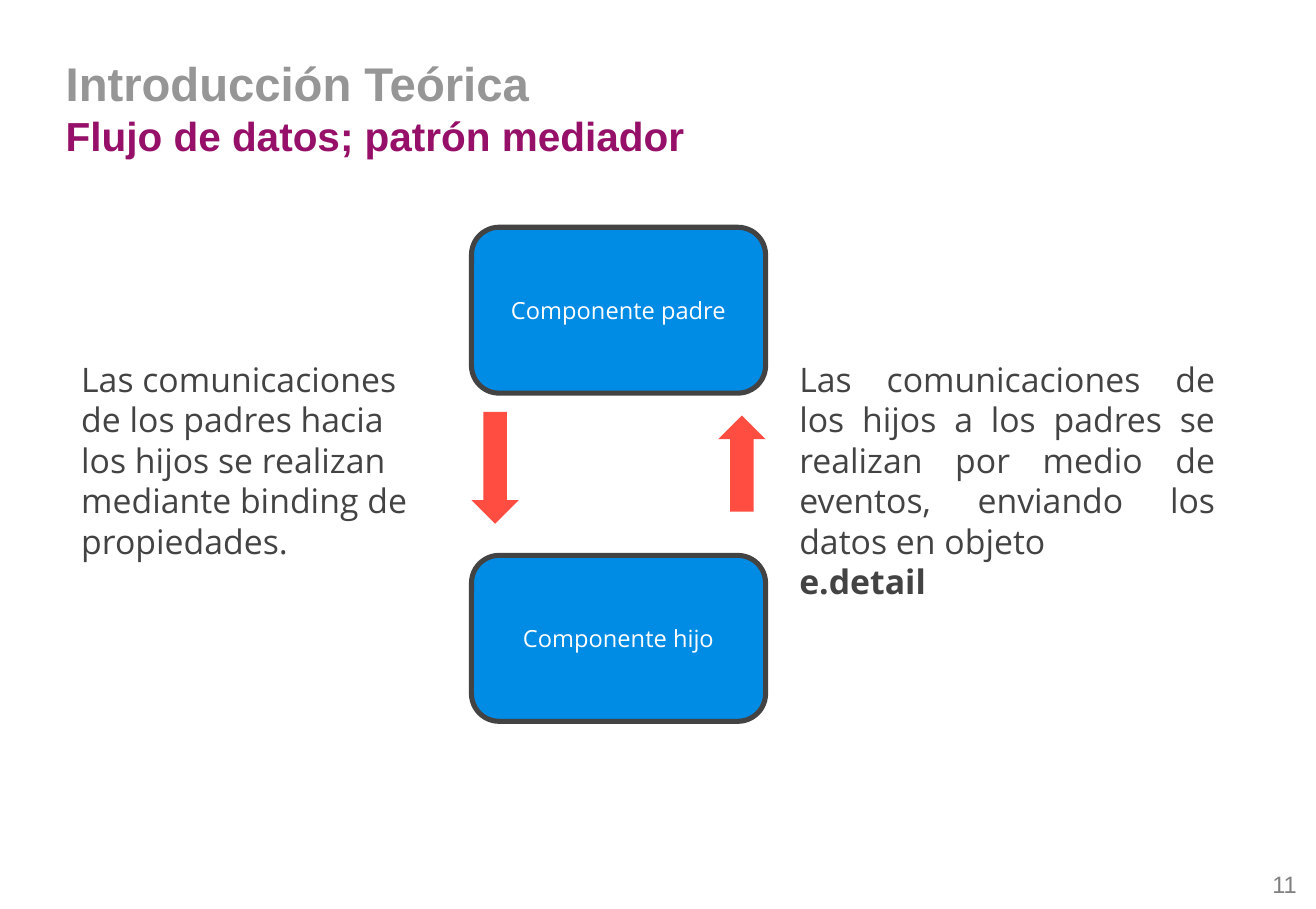
from dataclasses import dataclass

from pptx import Presentation
from pptx.dml.color import RGBColor
from pptx.enum.shapes import MSO_SHAPE
from pptx.enum.text import MSO_ANCHOR, PP_ALIGN
from pptx.util import Inches, Pt


@dataclass(frozen=True)
class Theme:
    """Colours, fonts and type sizes of the slide."""
    heading_font: str = "Arial"
    body_font: str = "Open Sans"
    title: str = "969696"
    subtitle: str = "960F68"
    number: str = "808080"
    ink: str = "434343"
    component: str = "008BE5"
    arrow: str = "FF4D41"
    light: str = "FFFFFF"
    title_size: int = 28
    subtitle_size: int = 24
    note_size: int = 20
    label_size: int = 14
    outline: int = 3


THEME = Theme()
WIDTH, HEIGHT = Inches(10.83), Inches(7.48)
COLUMNS = ROWS = 100
FLOW_LEFT, FLOW_WIDTH, ARROW_WIDTH = 35.83, 22.35, 3.6
NOTE_TOP = 38.1


def cell(left, top, width, height):
    """Turn grid columns and rows into slide lengths."""
    column, row = WIDTH / COLUMNS, HEIGHT / ROWS
    return int(left * column), int(top * row), int(width * column), int(height * row)


def apply(target, values):
    """Set each format value on the target."""
    for name, value in values.items():
        setattr(target, name, value)


def style(font, size, color, bold=False):
    """Describe one line of text by its font, size, colour and weight."""
    return {"name": font, "size": Pt(size), "bold": bold}, color


def write(frame, lines, align=PP_ALIGN.LEFT, anchor=MSO_ANCHOR.TOP, margins=(0.1, 0.1)):
    """Fill a text frame with one paragraph per styled line."""
    side, edge = map(Inches, margins)
    apply(frame, {"word_wrap": True, "vertical_anchor": anchor,
                  "margin_left": side, "margin_right": side,
                  "margin_top": edge, "margin_bottom": edge})
    for index, (text, (font, color)) in enumerate(lines):
        paragraph = frame.add_paragraph() if index else frame.paragraphs[0]
        paragraph.alignment = align
        run = paragraph.add_run()
        run.text = text
        apply(run.font, font)
        run.font.color.rgb = RGBColor.from_string(color)


def add_text(slide, area, lines, **layout):
    """Add a text box on the grid."""
    write(slide.shapes.add_textbox(*cell(*area)).text_frame, lines, **layout)


def add_solid(slide, kind, area, fill):
    """Add a flat preset shape without a shadow or an outline."""
    solid = slide.shapes.add_shape(kind, *cell(*area))
    solid.shadow.inherit = False
    solid.fill.solid()
    solid.fill.fore_color.rgb = RGBColor.from_string(fill)
    solid.line.fill.background()
    return solid


def add_component(slide, top, label):
    """Add a rounded, outlined component box."""
    area = (FLOW_LEFT, top, FLOW_WIDTH, 18.25)
    component = add_solid(slide, MSO_SHAPE.ROUNDED_RECTANGLE, area, THEME.component)
    component.line.color.rgb = RGBColor.from_string(THEME.ink)
    component.line.width = Pt(THEME.outline)
    label_style = style(THEME.body_font, THEME.label_size, THEME.light)
    write(component.text_frame, [(label, label_style)], PP_ALIGN.CENTER, MSO_ANCHOR.MIDDLE)


def main():
    """Build and save the slide."""
    deck = Presentation()
    apply(deck, {"slide_width": WIDTH, "slide_height": HEIGHT})
    slide = deck.slides.add_slide(deck.slide_layouts[6])

    number = style(THEME.heading_font, THEME.label_size, THEME.number)
    add_text(slide, (93.63, 95.05, 5.82, 4.28), [("11", number)],
             align=PP_ALIGN.RIGHT, margins=(0.1, 0.05))
    add_text(slide, (4.99, 6.02, 89.94, 89.3), [
        ("Introducción Teórica",
         style(THEME.heading_font, THEME.title_size, THEME.title, True)),
        ("Flujo de datos; patrón mediador",
         style(THEME.heading_font, THEME.subtitle_size, THEME.subtitle, True)),
    ], margins=(0, 0))

    add_component(slide, 25, "Componente padre")
    add_component(slide, 61.1, "Componente hijo")
    add_solid(slide, MSO_SHAPE.DOWN_ARROW,
              (FLOW_LEFT, 45.32, ARROW_WIDTH, 12.3), THEME.arrow)
    add_solid(slide, MSO_SHAPE.UP_ARROW,
              (FLOW_LEFT + FLOW_WIDTH - ARROW_WIDTH, 45.72, ARROW_WIDTH, 10.56), THEME.arrow)

    note = style(THEME.body_font, THEME.note_size, THEME.ink)
    strong = style(THEME.body_font, THEME.note_size, THEME.ink, True)
    add_text(slide, (5.26, NOTE_TOP, 28.25, 24.33), [
        ("Las comunicaciones de los padres hacia los hijos se realizan "
         "mediante binding de propiedades.", note),
    ])
    add_text(slide, (59.83, NOTE_TOP, 33.43, 28.07), [
        ("Las comunicaciones de los hijos a los padres se realizan por medio "
         "de eventos, enviando los datos en objeto", note),
        ("e.detail", strong),
    ], align=PP_ALIGN.JUSTIFY)

    deck.save("out.pptx")


if __name__ == "__main__":
    main()
